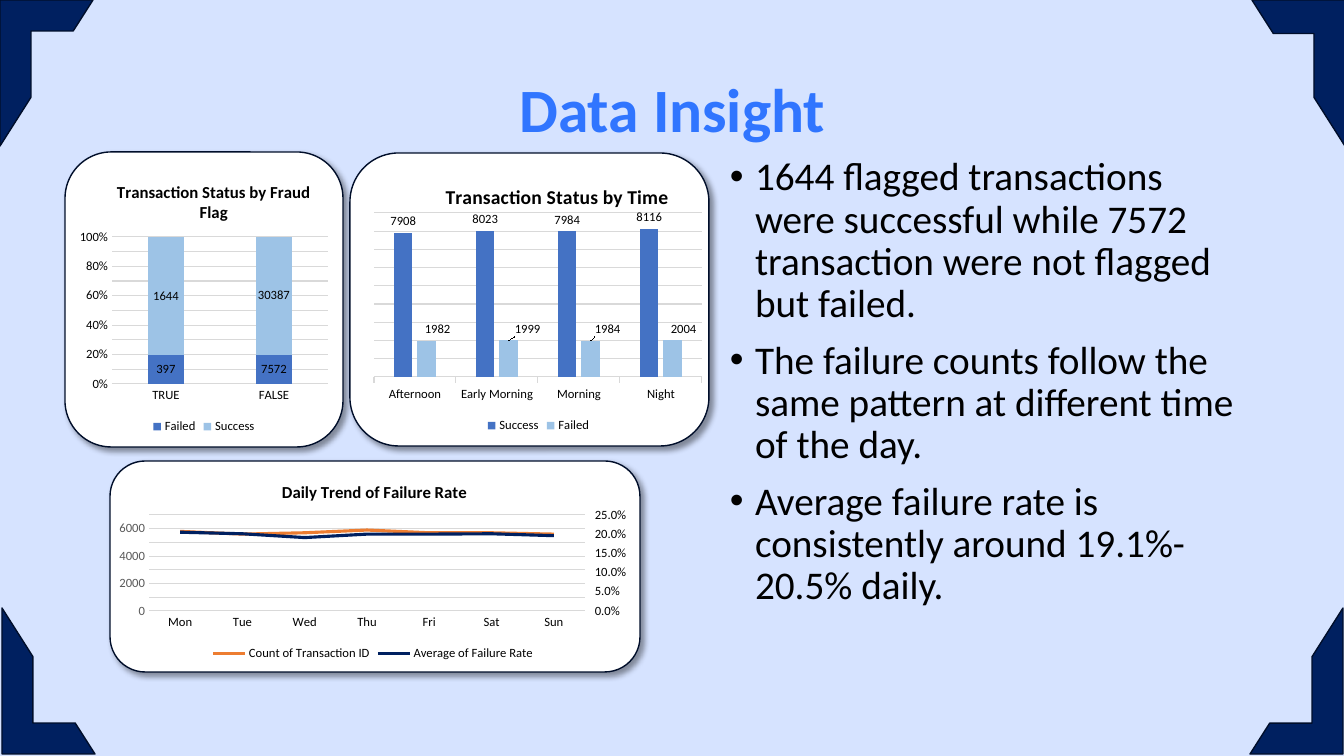
"""Build the Data Insight slide: three charts on cards beside three findings."""
from copy import deepcopy

from lxml import etree
from pptx import Presentation
from pptx.chart.axis import ValueAxis
from pptx.chart.data import CategoryChartData
from pptx.dml.color import RGBColor
from pptx.enum.chart import (XL_CHART_TYPE, XL_LABEL_POSITION, XL_LEGEND_POSITION,
                             XL_MARKER_STYLE, XL_TICK_MARK)
from pptx.enum.shapes import MSO_SHAPE
from pptx.enum.text import MSO_ANCHOR, PP_ALIGN
from pptx.oxml import parse_xml
from pptx.oxml.ns import nsdecls, qn
from pptx.util import Pt

STACKED = XL_CHART_TYPE.COLUMN_STACKED_100
CLUSTERED = XL_CHART_TYPE.COLUMN_CLUSTERED
LINE = XL_CHART_TYPE.LINE
CENTER, OUTSIDE = XL_LABEL_POSITION.CENTER, XL_LABEL_POSITION.OUTSIDE_END
NO_TICK, TICK_OUT = XL_TICK_MARK.NONE, XL_TICK_MARK.OUTSIDE
FONT = "Calibri"
BLACK, NAVY, EDGE, GRID = "000000", "002060", "000E2A", "D9D9D9"
BLUE, SKY, ORANGE, GRAY, ACCENT = "4472C4", "9DC3E6", "ED7D31", "595959", "3075FF"
SLIDE_W, SLIDE_H = 1344, 756
SCALE = 12192000 / SLIDE_W

TITLE = "Data Insight"
FINDINGS = [
    "1644 flagged transactions were successful while 7572 transaction were not flagged but failed.",
    "The failure counts follow the same pattern at different time of the day.",
    "Average failure rate is consistently around 19.1%-20.5% daily.",
]
CORNER_W, CORNER_H = 93, 146
CORNERS = [
    dict(at=(0, 0)),
    dict(at=(2, 608), flip="flipV"),
    dict(at=(1252, 0), flip="flipH", thickness=0.36),
    dict(at=(1250, 608), rotation=180),
]
PANELS = [
    dict(kind=STACKED, card=(65, 152, 278, 295), frame=(75, 163, 258, 275),
         plot=(112, 237, 216, 147), title="Transaction Status by Fraud Flag",
         title_at=(114, 178), title_size=12, categories=["TRUE", "FALSE"],
         series=[("Failed", BLUE, [397, 7572]), ("Success", SKY, [1644, 30387])],
         gap=200, overlap=100, labels=CENTER, tick=NO_TICK,
         scale=(1, 0.1, "0%", BLACK)),
    dict(kind=LINE, card=(110, 461, 530, 211), frame=(109, 465, 528, 200),
         plot=(149, 515, 436, 96), title="Daily Trend of Failure Rate",
         title_at=(279, 478), title_size=12,
         categories=["Mon", "Tue", "Wed", "Thu", "Fri", "Sat", "Sun"],
         series=[("Count of Transaction ID", ORANGE,
                  [5800, 5600, 5700, 5900, 5700, 5700, 5600]),
                 ("Average of Failure Rate", NAVY,
                  [0.205, 0.201, 0.191, 0.2, 0.2, 0.201, 0.196])],
         tick=NO_TICK, scale=(7000, 1000, "0", GRAY),
         right_scale=(0.25, 0.05, "0.0%", BLACK)),
    dict(kind=CLUSTERED, card=(350, 153, 359, 293), frame=(368, 163, 341, 274),
         plot=(374, 213, 328, 164), title="Transaction Status by Time",
         title_at=(442, 180), title_size=14,
         categories=["Afternoon", "Early Morning", "Morning", "Night"],
         series=[("Success", BLUE, [7908, 8023, 7984, 8116]),
                 ("Failed", SKY, [1982, 1999, 1984, 2004])],
         gap=219, overlap=-27, labels=OUTSIDE, tick=TICK_OUT,
         scale=(9000, 1000, "0", BLACK), hide_values=True,
         nudges=[11, 19, 17, 11]),
]


def px(*lengths):
    return [round(length * SCALE) for length in lengths]


def rgb(color):
    return RGBColor.from_string(color)


def set_font(font, size, color=BLACK, bold=False):
    font.name, font.size, font.bold = FONT, Pt(size), bold
    font.color.rgb = rgb(color)


def set_line(line, color, width):
    line.color.rgb = rgb(color)
    line.width = Pt(width)


def add_box(slide, preset, box, fill):
    box_shape = slide.shapes.add_shape(preset, *px(*box))
    box_shape.shadow.inherit = False
    box_shape.fill.solid()
    box_shape.fill.fore_color.rgb = rgb(fill)
    set_line(box_shape.line, EDGE, 1)
    return box_shape


def add_card(slide, box):
    card = add_box(slide, MSO_SHAPE.ROUNDED_RECTANGLE, box, "FFFFFF")
    effects = card.element.spPr.find(qn("a:effectLst"))
    shadow = etree.SubElement(effects, qn("a:outerShdw"), blurRad=str(Pt(4)),
                              dist=str(Pt(3)), dir="2700000", algn="tl", rotWithShape="0")
    shade = etree.SubElement(shadow, qn("a:srgbClr"), val=BLACK)
    etree.SubElement(shade, qn("a:alpha"), val="40000")


def set_layout(parent, index, settings):
    old = parent.find(qn("c:layout"))
    if old is not None:
        parent.remove(old)
    layout = parse_xml(f"<c:layout {nsdecls('c')}><c:manualLayout/></c:layout>")
    for tag, value in settings.items():
        etree.SubElement(layout[0], qn(f"c:{tag}"), val=str(value))
    parent.insert(index, layout)


def style_value_axis(axis, scale):
    maximum, step, number_format, color = scale
    axis.minimum_scale, axis.maximum_scale, axis.major_unit = 0, maximum, step
    axis.tick_labels.number_format = number_format
    axis.tick_labels.number_format_is_linked = False
    set_font(axis.tick_labels.font, 9, color)
    axis.format.line.fill.background()


def add_right_axis(chart, scale):
    left_plot = chart.plots[0]._element
    right_plot = deepcopy(left_plot)
    left_plot.remove(left_plot.findall(qn("c:ser"))[1])
    right_plot.remove(right_plot.findall(qn("c:ser"))[0])
    left_plot.addnext(right_plot)
    days = deepcopy(chart.category_axis._element)
    rates = deepcopy(chart.value_axis._element)
    chart.value_axis._element.addnext(rates)
    rates.addnext(days)
    for node, number in zip(right_plot.findall(qn("c:axId")), ("5001", "5002")):
        node.set("val", number)
    for axis, number, crossing in ((days, "5001", "5002"), (rates, "5002", "5001")):
        axis.find(qn("c:axId")).set("val", number)
        axis.find(qn("c:crossAx")).set("val", crossing)
    days.find(qn("c:delete")).set("val", "1")
    rates.find(qn("c:axPos")).set("val", "r")
    rates.find(qn("c:crosses")).set("val", "max")
    rate_axis = ValueAxis(rates)
    rate_axis.has_major_gridlines = False
    rate_axis.major_tick_mark = TICK_OUT
    style_value_axis(rate_axis, scale)


def style_series(series, color, panel):
    if panel["kind"] == LINE:
        series.smooth = False
        series.marker.style = XL_MARKER_STYLE.NONE
        set_line(series.format.line, color, 2.25)
        return
    series.format.fill.solid()
    series.format.fill.fore_color.rgb = rgb(color)
    labels = series.data_labels
    labels.show_value = True
    labels.position = panel["labels"]
    set_font(labels.font, 9)


def add_panel(slide, panel):
    add_card(slide, panel["card"])
    data = CategoryChartData()
    data.categories = panel["categories"]
    for name, _, values in panel["series"]:
        data.add_series(name, values)
    left, top, width, height = panel["frame"]
    chart = slide.shapes.add_chart(panel["kind"], *px(*panel["frame"]), data).chart
    set_font(chart.font, 10)
    chart_part = chart._chartSpace.find(qn("c:chart"))
    chart_part.addnext(parse_xml(
        f"<c:spPr {nsdecls('c', 'a')}><a:noFill/><a:ln><a:noFill/></a:ln></c:spPr>"))

    chart.has_title = True
    run = chart.chart_title.text_frame.paragraphs[0].add_run()
    run.text = panel["title"]
    set_font(run.font, panel["title_size"], bold=True)
    x, y = panel["title_at"]
    set_layout(chart.chart_title._element, 1, dict(
        xMode="edge", yMode="edge", x=(x - left) / width, y=(y - top) / height))
    x, y, plot_w, plot_h = panel["plot"]
    set_layout(chart_part.find(qn("c:plotArea")), 0, dict(
        layoutTarget="inner", xMode="edge", yMode="edge", x=(x - left) / width,
        y=(y - top) / height, w=plot_w / width, h=plot_h / height))

    chart.has_legend = True
    chart.legend.position = XL_LEGEND_POSITION.BOTTOM
    chart.legend.include_in_layout = False
    set_font(chart.legend.font, 9)
    categories, values = chart.category_axis, chart.value_axis
    categories.major_tick_mark = panel["tick"]
    set_font(categories.tick_labels.font, 9)
    set_line(categories.format.line, GRID, 0.75)
    values.major_tick_mark = NO_TICK
    values.has_major_gridlines = True
    set_line(values.major_gridlines.format.line, GRID, 0.75)
    style_value_axis(values, panel["scale"])
    values.visible = not panel.get("hide_values", False)

    plot = chart.plots[0]
    plot.vary_by_categories = False
    if "gap" in panel:
        plot.gap_width, plot.overlap = panel["gap"], panel["overlap"]
    for series, (_, color, _) in zip(plot.series, panel["series"]):
        style_series(series, color, panel)
    last = plot.series[len(panel["series"]) - 1]
    for index, shift in enumerate(panel.get("nudges", [])):
        label = last.points[index].data_label
        set_font(label.font, 9)
        label.position = panel["labels"]
        set_layout(last._element.findall(".//" + qn("c:dLbl"))[index], 1,
                   dict(x=shift / width, y=0))
    if "right_scale" in panel:
        add_right_axis(chart, panel["right_scale"])


def add_text(slide, box, lines, size, color, bold=False, bullets=False):
    frame = slide.shapes.add_textbox(*px(*box)).text_frame
    frame.word_wrap = True
    frame.vertical_anchor = MSO_ANCHOR.TOP if bullets else MSO_ANCHOR.MIDDLE
    for index, line in enumerate(lines):
        paragraph = frame.add_paragraph() if index else frame.paragraphs[0]
        paragraph.line_spacing = 0.9
        paragraph.alignment = PP_ALIGN.LEFT if bullets else PP_ALIGN.CENTER
        if index:
            paragraph.space_before = Pt(10)
        if bullets:
            props = paragraph._p.get_or_add_pPr()
            props.set("marL", "228600")
            props.set("indent", "-228600")
            etree.SubElement(props, qn("a:buFont"), typeface="Arial")
            etree.SubElement(props, qn("a:buChar"), char="•")
        run = paragraph.add_run()
        run.text = line
        set_font(run.font, size, color, bold)


def main():
    deck = Presentation()
    deck.slide_width, deck.slide_height = px(SLIDE_W, SLIDE_H)
    slide = deck.slides.add_slide(deck.slide_layouts[6])
    slide.background.fill.solid()
    slide.background.fill.fore_color.rgb = rgb("D6E3FF")
    for corner in CORNERS:
        bracket = add_box(slide, MSO_SHAPE.HALF_FRAME,
                          (*corner["at"], CORNER_W, CORNER_H), NAVY)
        bracket.rotation = corner.get("rotation", 0)
        if "flip" in corner:
            bracket.element.spPr.find(qn("a:xfrm")).set(corner["flip"], "1")
        if "thickness" in corner:
            bracket.adjustments[0] = corner["thickness"]
    add_text(slide, (93, 40, 1159, 146), [TITLE], 44, ACCENT, bold=True)
    add_text(slide, (720, 152, 531, 528), FINDINGS, 28, BLACK, bullets=True)
    for panel in PANELS:
        add_panel(slide, panel)
    deck.save("out.pptx")


if __name__ == "__main__":
    main()
